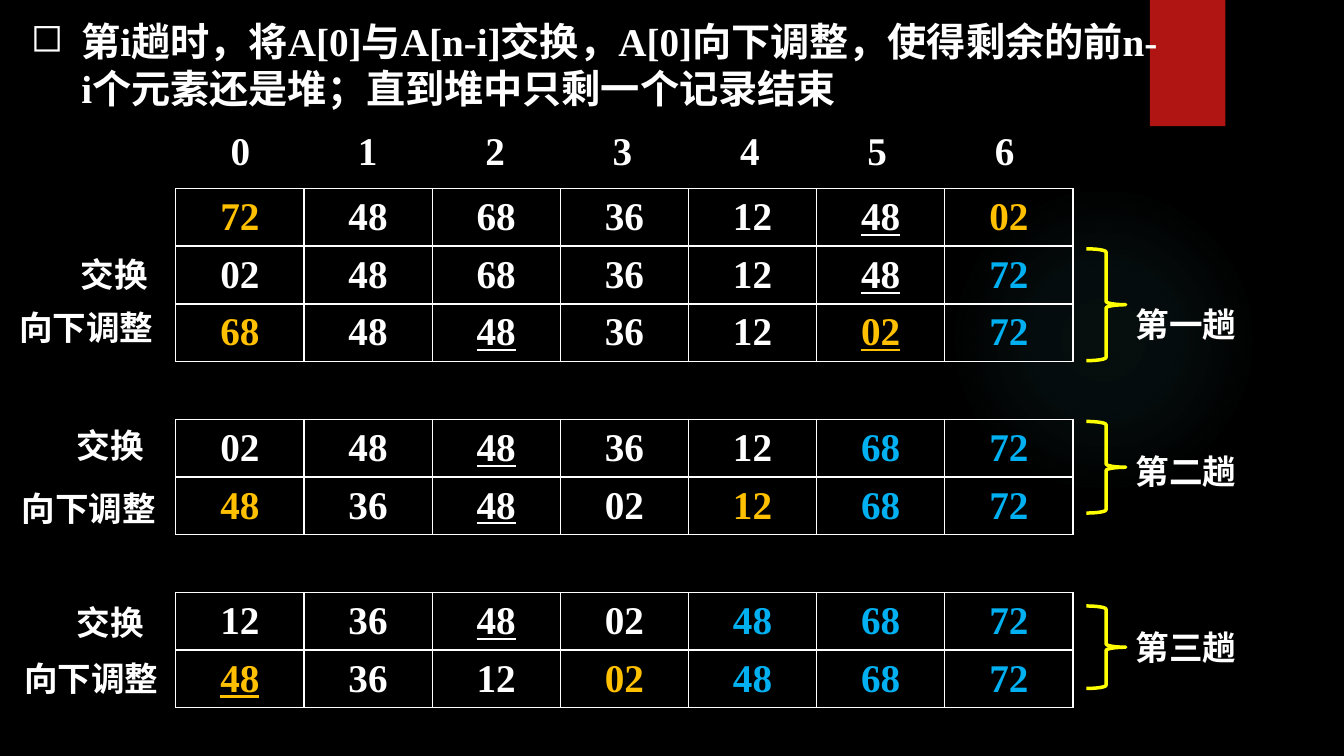
from lxml import etree
from pptx import Presentation
from pptx.dml.color import RGBColor
from pptx.enum.lang import MSO_LANGUAGE_ID
from pptx.enum.shapes import MSO_SHAPE
from pptx.enum.text import MSO_ANCHOR, MSO_AUTO_SIZE, PP_ALIGN
from pptx.oxml import parse_xml
from pptx.oxml.ns import nsdecls, qn
from pptx.util import Cm, Pt

ELLIPSE = MSO_SHAPE.OVAL
RECTANGLE = MSO_SHAPE.RECTANGLE
RIGHT_BRACE = MSO_SHAPE.RIGHT_BRACE
MIDDLE = MSO_ANCHOR.MIDDLE
CENTER = PP_ALIGN.CENTER
GROW = MSO_AUTO_SIZE.SHAPE_TO_FIT_TEXT
CHINESE = MSO_LANGUAGE_ID.SIMPLIFIED_CHINESE

BLACK = RGBColor(0x00, 0x00, 0x00)
WHITE = RGBColor(0xFF, 0xFF, 0xFF)
RED = RGBColor(0xB0, 0x15, 0x13)
YELLOW = RGBColor(0xFF, 0xFF, 0x00)
ORANGE = RGBColor(0xFF, 0xC0, 0x00)
BLUE = RGBColor(0x00, 0xB0, 0xF0)
TEAL = RGBColor(0x50, 0xB9, 0xC1)

NUMBER_FONT = "Times New Roman"
LABEL_FONT = "League Spartan"

TITLE = "第i趟时，将A[0]与A[n-i]交换，A[0]向下调整，使得剩余的前n-i个元素还是堆；直到堆中只剩一个记录结束"
COLUMN_COUNT = 7
TABLE_LEFT = 4.43
TABLE_TOP = 4.75
COLUMN_WIDTH = 3.23
ROW_HEIGHT = 1.45
ROW_PITCH = 1.454

MARK_COLORS = {"o": ORANGE, "b": BLUE}
ARRAY_ROWS = {
    0: "72o 48 68 36 12 48_ 02o",
    1: "02 48 68 36 12 48_ 72b",
    2: "68o 48 48_ 36 12 02o_ 72b",
    4: "02 48 48_ 36 12 68b 72b",
    5: "48o 36 48_ 02 12o 68b 72b",
    7: "12 36 48_ 02 48b 68b 72b",
    8: "48o_ 36 12 02o 48b 68b 72b",
}
STEP_LABELS = [
    ("交换", 1.78, 6.27, 2.41),
    ("向下调整", 0.23, 7.62, 4.19),
    ("交换", 1.68, 10.59, 2.41),
    ("向下调整", 0.3, 12.17, 4.19),
    ("交换", 1.68, 15.04, 2.41),
    ("向下调整", 0.36, 16.46, 4.19),
]
PASSES = [
    ("第一趟", 6.27, 2.82, 7.54),
    ("第二趟", 10.62, 2.31, 11.23),
    ("第三趟", 15.27, 2.08, 15.67),
]


def format_run(run, font_name, size, color=WHITE):
    font = run.font
    font.name = font_name
    font.size = Pt(size)
    font.bold = True
    font.color.rgb = color
    font.language_id = CHINESE


def add_text(slide, text, left, top, width, height, font_name, size):
    box = slide.shapes.add_textbox(Cm(left), Cm(top), Cm(width), Cm(height))
    frame = box.text_frame
    frame.word_wrap = True
    frame.auto_size = GROW
    frame.text = text
    paragraph = frame.paragraphs[0]
    for run in paragraph.runs:
        format_run(run, font_name, size)
    return paragraph


def add_title(slide):
    paragraph = add_text(slide, TITLE, 0.53, 0.3, 29.01, 2.64, NUMBER_FONT, 28)
    properties = paragraph._p.get_or_add_pPr()
    properties.set("marL", str(Cm(1.27)))
    properties.set("indent", str(Cm(-1.27)))
    etree.SubElement(properties, qn("a:buChar")).set("char", "◻")


def add_index_row(slide):
    text = "\t".join(str(index) for index in range(COLUMN_COUNT))
    paragraph = add_text(slide, text, 5.56, 3.07, 20.47, 1.45, NUMBER_FONT, 28)
    tabs = etree.SubElement(paragraph._p.get_or_add_pPr(), qn("a:tabLst"))
    for index in range(1, COLUMN_COUNT):
        tab = etree.SubElement(tabs, qn("a:tab"))
        tab.set("pos", str(Cm(3.21 * index)))
        tab.set("algn", "l")


def add_borders(cell):
    properties = cell._tc.get_or_add_tcPr()
    for side in ("lnL", "lnR", "lnT", "lnB"):
        properties.append(parse_xml(
            f'<a:{side} {nsdecls("a")} w="{Pt(1)}"><a:solidFill>'
            f'<a:srgbClr val="{WHITE}"/></a:solidFill></a:{side}>'))


def fill_cell(cell, entry):
    add_borders(cell)
    cell.fill.background()
    cell.vertical_anchor = MIDDLE
    cell.text_frame.text = entry[:2]
    paragraph = cell.text_frame.paragraphs[0]
    paragraph.alignment = CENTER
    run = paragraph.runs[0]
    format_run(run, NUMBER_FONT, 28, MARK_COLORS.get(entry[2:3], WHITE))
    if entry.endswith("_"):
        run.font.underline = True


def add_array(slide, position, entries):
    table = slide.shapes.add_table(
        1, COLUMN_COUNT, Cm(TABLE_LEFT), Cm(TABLE_TOP + position * ROW_PITCH),
        Cm(COLUMN_WIDTH * COLUMN_COUNT), Cm(ROW_HEIGHT)).table
    table.first_row = False
    table.horz_banding = False
    for column, entry in enumerate(entries.split()):
        table.columns[column].width = Cm(COLUMN_WIDTH)
        fill_cell(table.cell(0, column), entry)


def add_plain_shape(slide, kind, left, top, width, height):
    shape = slide.shapes.add_shape(kind, Cm(left), Cm(top), Cm(width), Cm(height))
    shape.shadow.inherit = False
    shape.fill.background()
    shape.line.fill.background()
    return shape


def add_glow(slide):
    glow = add_plain_shape(slide, ELLIPSE, 23.9, 4.65, 7.82, 7.82)
    stops = "".join(
        f'<a:gs pos="{position * 1000}"><a:srgbClr val="{TEAL}">'
        f'<a:alpha val="{alpha * 1000}"/></a:srgbClr></a:gs>'
        for position, alpha in ((0, 7), (36, 6), (69, 0)))
    gradient = parse_xml(
        f'<a:gradFill {nsdecls("a")}><a:gsLst>{stops}</a:gsLst><a:path path="circle">'
        '<a:fillToRect l="50000" t="50000" r="50000" b="50000"/></a:path></a:gradFill>')
    properties = glow._element.spPr
    properties.replace(properties.find(qn("a:noFill")), gradient)


def add_ribbon(slide):
    ribbon = add_plain_shape(slide, RECTANGLE, 28.98, 0, 1.9, 3.18)
    ribbon.fill.solid()
    ribbon.fill.fore_color.rgb = RED


def add_pass(slide, text, brace_top, brace_height, label_top):
    brace = add_plain_shape(slide, RIGHT_BRACE, 27.38, brace_top, 0.99, brace_height)
    brace.line.color.rgb = YELLOW
    brace.line.width = Pt(2.5)
    add_text(slide, text, 28.37, label_top, 3.23, 1.27, LABEL_FONT, 24)


def main():
    presentation = Presentation()
    presentation.slide_width = Cm(33.87)
    presentation.slide_height = Cm(19.05)
    slide = presentation.slides.add_slide(presentation.slide_layouts[6])
    slide.background.fill.solid()
    slide.background.fill.fore_color.rgb = BLACK
    add_glow(slide)
    add_ribbon(slide)
    add_title(slide)
    add_index_row(slide)
    for position, entries in ARRAY_ROWS.items():
        add_array(slide, position, entries)
    for text, left, top, width in STEP_LABELS:
        add_text(slide, text, left, top, width, 1.27, LABEL_FONT, 24)
    for text, brace_top, brace_height, label_top in PASSES:
        add_pass(slide, text, brace_top, brace_height, label_top)
    presentation.save("out.pptx")


if __name__ == "__main__":
    main()
